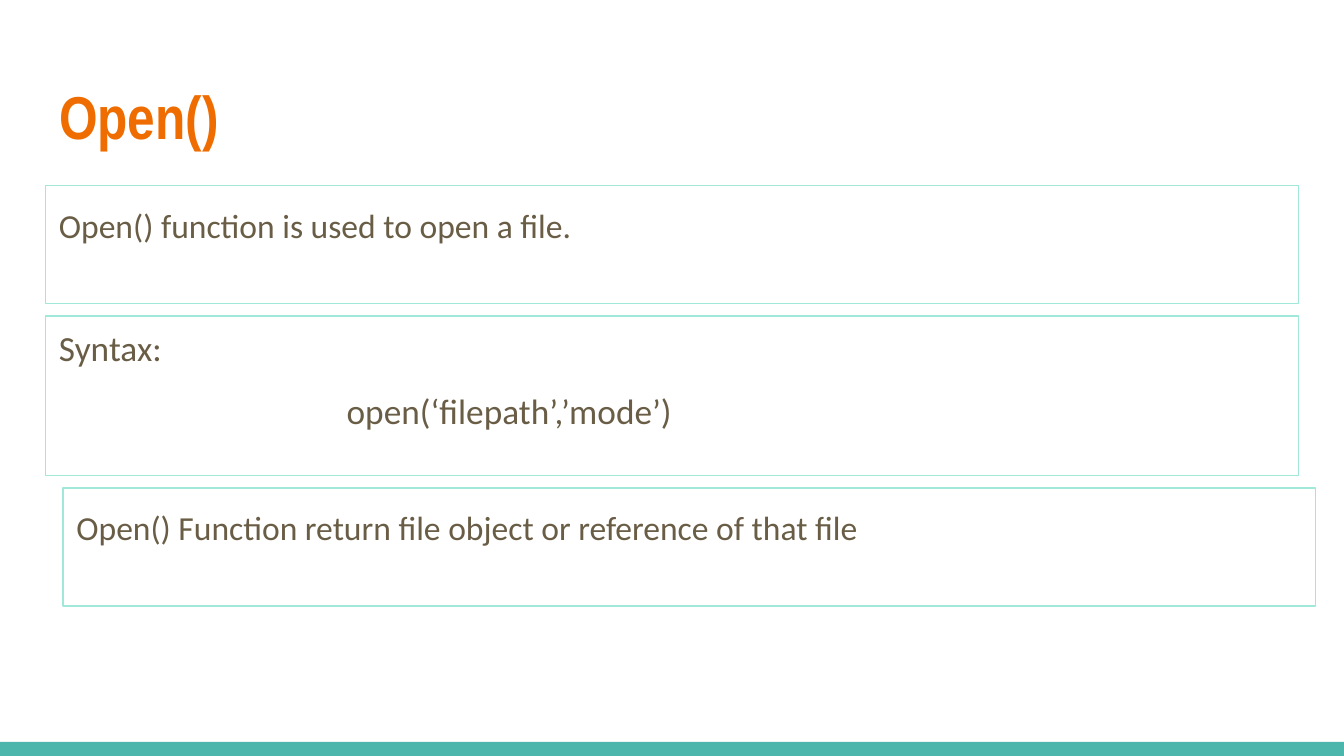
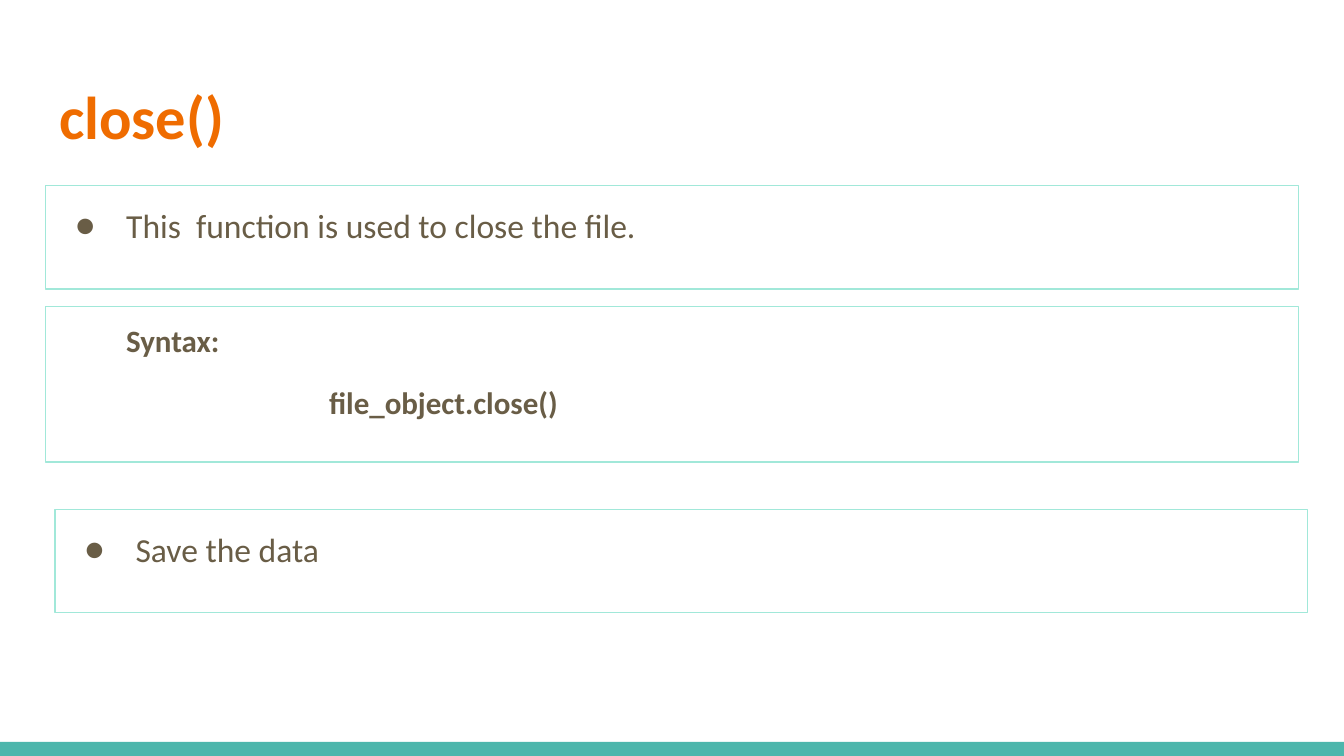
import pptx
import pptx.dml.color
import pptx.enum.shapes
import pptx.enum.text
import pptx.oxml.ns
import pptx.util
from lxml import etree

Inches = pptx.util.Inches
Pt = pptx.util.Pt
RGBColor = pptx.dml.color.RGBColor

ORANGE = RGBColor(0xEF, 0x6C, 0x00)
BROWN = RGBColor(0x69, 0x5D, 0x46)
MINT = RGBColor(0xA1, 0xE8, 0xD9)
TEAL = RGBColor(0x4D, 0xB6, 0xAC)

WIDTH = 10
HEIGHT = WIDTH * 9 / 16
MARGIN = 0.34
CONTENT_WIDTH = WIDTH - 2 * MARGIN
BAND_TOP = 5.52
BODY_FONT = "Calibri"

# Paragraph styles: size, bold, line spacing
PLAIN = (18, False, 1.15)
SYNTAX = (18.9, False, 0.95)
BOLD_SYNTAX = (16.6, True, 1.05)

# Box: shift from the margin, top, height, style, bulleted, lines
# Line: text, left indent, space before, space after
SLIDES = [
    {
        "title": "Open()",
        "title_font": "Arial Narrow",
        "boxes": [
            (0, 1.38, 0.88, PLAIN, False,
             [("Open() function is used to open a file.", 0, 0, 12)]),
            (0, 2.35, 1.19, SYNTAX, False,
             [("Syntax:", 0, 0, 0), ("open(‘filepath’,’mode’)", 2.14, 12, 12)]),
            (0.13, 3.63, 0.88, PLAIN, False,
             [("Open() Function return file object or reference of that file", 0, 0, 12)]),
        ],
    },
    {
        "title": "close()",
        "title_font": BODY_FONT,
        "boxes": [
            (0, 1.38, 0.77, PLAIN, True,
             [("This  function is used to close the file.", 0.5, 0, 0)]),
            (0, 2.28, 1.16, BOLD_SYNTAX, False,
             [("Syntax:", 0.5, 0, 0), ("file_object.close()", 2.01, 12, 12)]),
            (0.07, 3.79, 0.77, PLAIN, True,
             [("Save the data", 0.5, 0, 0)]),
        ],
    },
]


def format_frame(frame):
    frame.word_wrap = True
    frame.auto_size = pptx.enum.text.MSO_AUTO_SIZE.NONE
    frame.vertical_anchor = pptx.enum.text.MSO_ANCHOR.TOP
    frame.margin_left = frame.margin_right = Inches(0.1)
    frame.margin_top = frame.margin_bottom = Inches(0.1)


def format_paragraph(paragraph, font_name, size, bold, color):
    paragraph.alignment = pptx.enum.text.PP_ALIGN.LEFT
    paragraph.font.name = font_name
    paragraph.font.size = Pt(size)
    paragraph.font.bold = bold
    paragraph.font.color.rgb = color


def indent_paragraph(paragraph, left, bulleted):
    qn = pptx.oxml.ns.qn
    properties = paragraph._p.get_or_add_pPr()
    properties.set("marL", str(Inches(left)))
    properties.set("indent", str(Inches(-0.38 if bulleted else 0)))
    if bulleted:
        bullet_color = etree.SubElement(properties, qn("a:buClr"))
        etree.SubElement(bullet_color, qn("a:srgbClr"), val=str(BROWN))
        etree.SubElement(properties, qn("a:buFont"), typeface=BODY_FONT)
        etree.SubElement(properties, qn("a:buChar"), char="●")


def add_rectangle(slide, left, top, width, height):
    shape = slide.shapes.add_shape(
        pptx.enum.shapes.MSO_SHAPE.RECTANGLE,
        Inches(left), Inches(top), Inches(width), Inches(height))
    shape.shadow.inherit = False
    return shape


def add_band(slide):
    band = add_rectangle(slide, 0, BAND_TOP, WIDTH, HEIGHT - BAND_TOP)
    band.fill.solid()
    band.fill.fore_color.rgb = TEAL
    band.line.fill.background()


def set_title(slide, text, font_name):
    title = slide.shapes.title
    title.left, title.top = Inches(MARGIN), Inches(0.49)
    title.width, title.height = Inches(CONTENT_WIDTH), Inches(0.77)
    title.text_frame.text = text
    format_frame(title.text_frame)
    format_paragraph(title.text_frame.paragraphs[0], font_name, 32.4, True, ORANGE)


def add_box(slide, shift, top, height, style, bulleted, lines):
    size, bold, spacing = style
    box = add_rectangle(slide, MARGIN + shift, top, CONTENT_WIDTH, height)
    box.fill.background()
    box.line.color.rgb = MINT
    box.line.width = Pt(0.75)
    frame = box.text_frame
    format_frame(frame)
    frame.text = "\n".join(line[0] for line in lines)
    for paragraph, (_, left, before, after) in zip(frame.paragraphs, lines):
        format_paragraph(paragraph, BODY_FONT, size, bold, BROWN)
        paragraph.line_spacing = spacing
        paragraph.space_before = Pt(before)
        paragraph.space_after = Pt(after)
        indent_paragraph(paragraph, left, bulleted)


def main():
    presentation = pptx.Presentation()
    presentation.slide_width = Inches(WIDTH)
    presentation.slide_height = Inches(HEIGHT)
    title_only = presentation.slide_layouts[5]
    for content in SLIDES:
        slide = presentation.slides.add_slide(title_only)
        add_band(slide)
        set_title(slide, content["title"], content["title_font"])
        for box in content["boxes"]:
            add_box(slide, *box)
    presentation.save("out.pptx")


if __name__ == "__main__":
    main()
